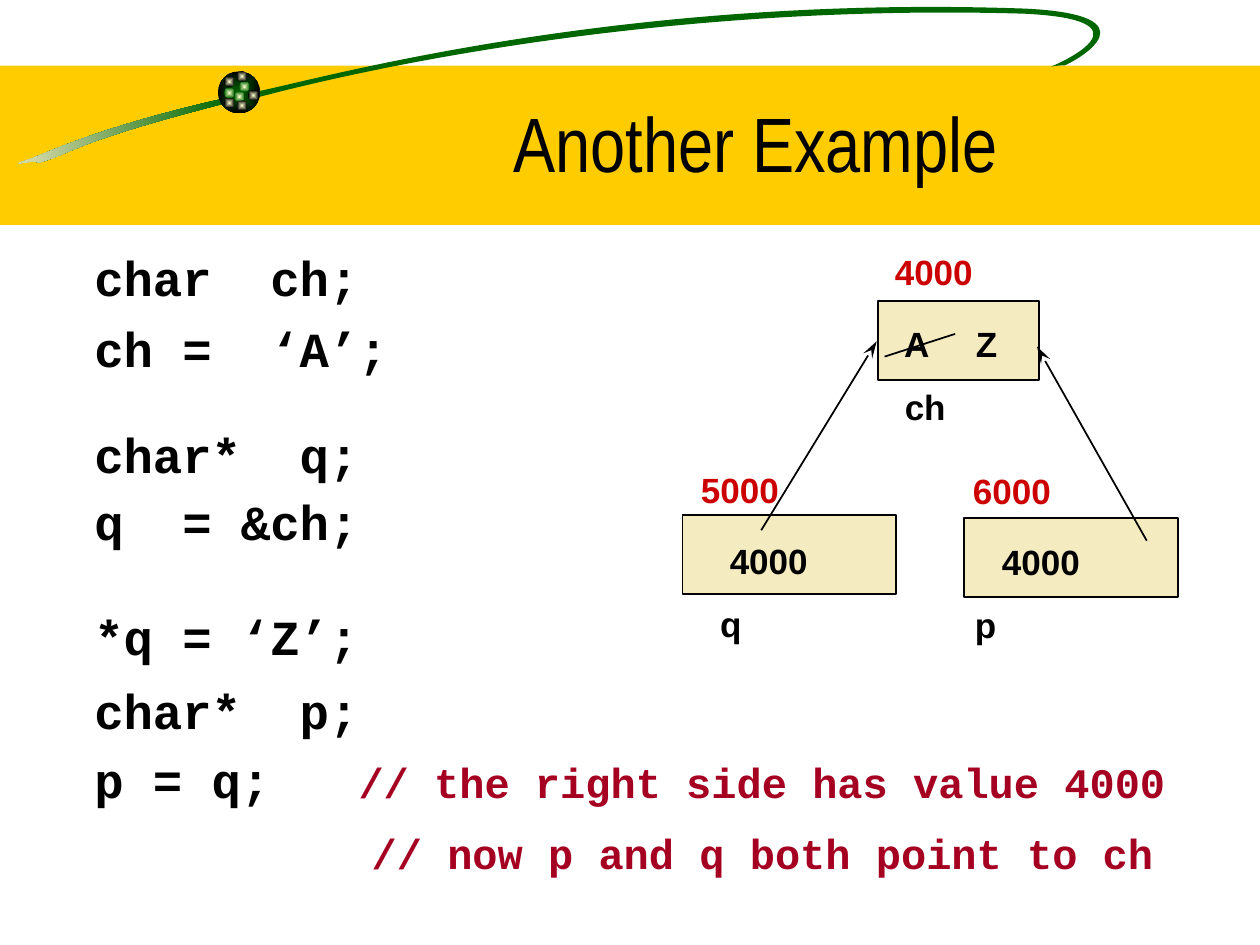
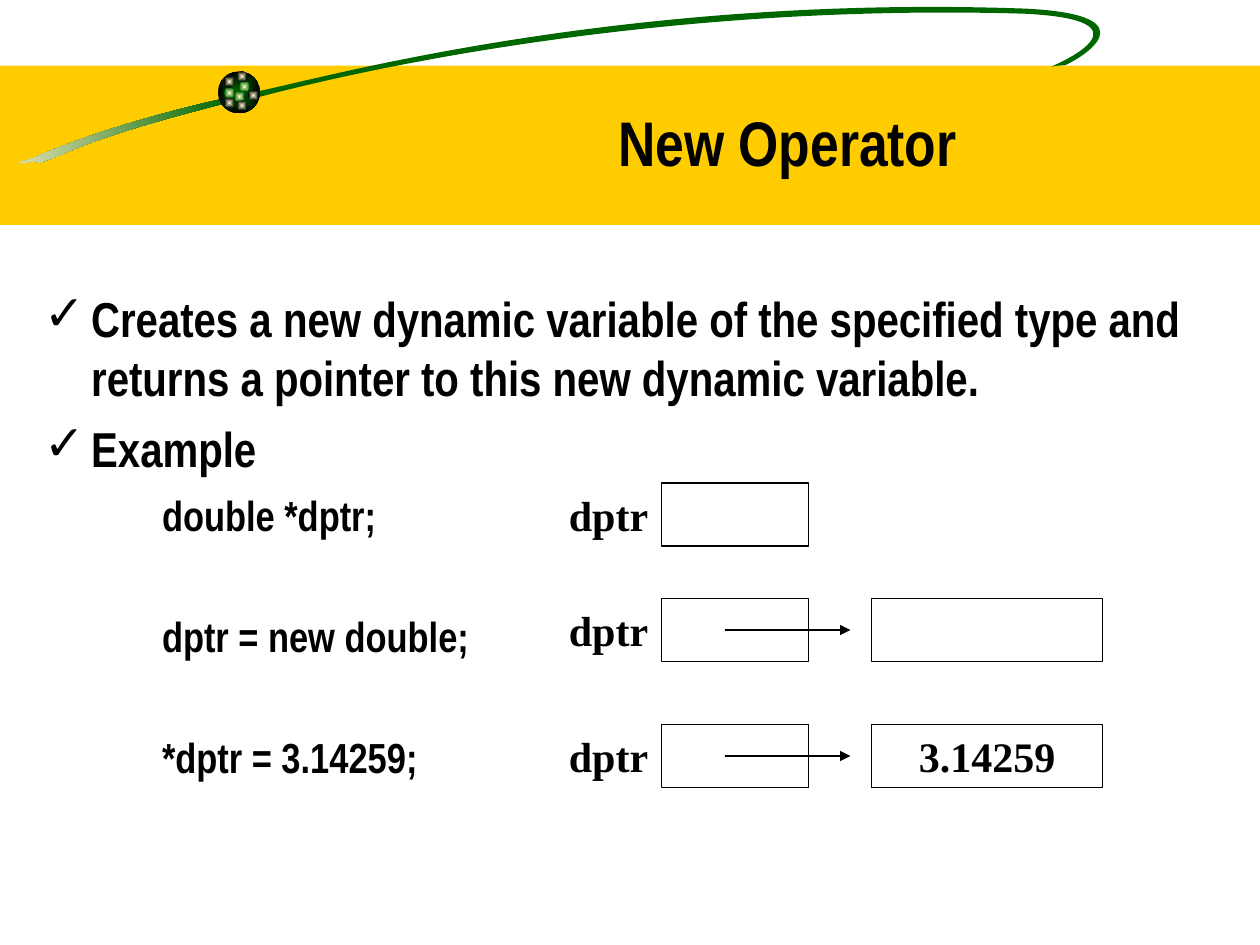
import math

import pptx
import pptx.util
import pptx.dml.color
import pptx.enum.shapes
import pptx.enum.text
import pptx.oxml
import pptx.oxml.ns

Pt = pptx.util.Pt
RGB = pptx.dml.color.RGBColor
SHAPE = pptx.enum.shapes.MSO_SHAPE
ANCHOR = pptx.enum.text.MSO_ANCHOR
ALIGN = pptx.enum.text.PP_ALIGN
qn = pptx.oxml.ns.qn

BLACK = RGB(0x00, 0x00, 0x00)
WHITE = RGB(0xFF, 0xFF, 0xFF)
GOLD = RGB(0xFF, 0xCC, 0x00)
GREEN = RGB(0x00, 0x66, 0x00)
CREAM = RGB(0xF5, 0xEB, 0xC1)
GLOW = RGB(0xFF, 0xFF, 0xCC)
ADDRESS_RED = RGB(0xCC, 0x00, 0x00)
COMMENT_RED = RGB(0xA5, 0x00, 0x21)

TITLE = {"name": "Arial Narrow", "size": Pt(44), "bold": False}
BOLD_TITLE = {"name": "Arial Narrow", "size": Pt(36), "bold": True}
CODE = {"name": "Courier New", "size": Pt(28), "bold": True}
COMMENT = {"name": "Courier New", "size": Pt(24), "bold": True}
BULLET = {"name": "Arial Narrow", "size": Pt(28), "bold": True}
SNIPPET = {"name": "Arial Narrow", "size": Pt(24), "bold": True}
CELL_LABEL = {"name": "Arial", "size": Pt(20), "bold": True}
POINTER_LABEL = {"name": "Times New Roman", "size": Pt(24), "bold": True}

STEALTH = {"type": "stealth", "w": "med", "len": "lg"}
TRIANGLE = {"type": "triangle"}

# Each outline is a start point, then three points for every Bezier segment.
TILT = -8.5
TAIL = [(128.2, 56.2),
        (65.5, 70.6), (35.3, 83.5), (18, 90.7),
        (0.7, 96.5), (18.7, 90.7), (22.3, 92.9),
        (41, 87.8), (41, 81.4), (128.9, 59),
        (128.9, 59), (128.2, 56.2), (128.2, 56.2)]
SWOOSH = [(145.4, 52.6),
          (177.1, 46.8), (349.9, -3.6), (586.1, 5),
          (660.2, 8.6), (617, 33.8), (608.4, 37.4),
          (608.4, 37.4), (603.4, 37.4), (600.5, 38.2),
          (607.7, 35.3), (659.5, 11.5), (585.4, 7.9),
          (394.6, 2.2), (230.4, 33.8), (148.3, 55.4),
          (148.3, 55.4), (145.4, 52.6), (145.4, 52.6)]
# Offset of each light within the ball, and the colour it fades to.
LIGHTS = [(12.2, 5.8, GREEN), (3.6, 2.9, BLACK), (3.6, 9.4, GREEN),
          (9.4, 11.5, GREEN), (17.3, 10.8, BLACK), (10.8, 16.6, BLACK),
          (3.6, 15.1, BLACK), (10.8, 0, BLACK)]


def add_text(paragraph, text, style, color=BLACK):
    """Append a run in the given style."""
    run = paragraph.add_run()
    run.text = text
    for key, value in style.items():
        setattr(run.font, key, value)
    run.font.color.rgb = color


def add_child(parent, tag, **attributes):
    """Append an XML element and return it."""
    child = parent.makeelement(qn(tag), attributes)
    parent.append(child)
    return child


def add_box(slide, left, top, width, height, anchor=ANCHOR.TOP, inset=True, wrap=True):
    """Add an empty text box and return its text frame."""
    frame = slide.shapes.add_textbox(Pt(left), Pt(top), Pt(width), Pt(height)).text_frame
    frame.word_wrap = wrap
    frame.vertical_anchor = anchor
    if not inset:
        for side in ("left", "top", "right", "bottom"):
            setattr(frame, "margin_" + side, Pt(0))
    return frame


def add_shape(slide, kind, left, top, width, height, fill=None, outlined=False):
    """Add a flat preset shape, with a thin black outline on request."""
    shape = slide.shapes.add_shape(kind, Pt(left), Pt(top), Pt(width), Pt(height))
    shape.shadow.inherit = False
    if fill is not None:
        shape.fill.solid()
        shape.fill.fore_color.rgb = fill
    if outlined:
        shape.line.color.rgb = BLACK
        shape.line.width = Pt(1)
    else:
        shape.line.fill.background()
    return shape


def fade(shape, first, last, from_centre=False):
    """Fill a shape with a two-colour gradient, leftward or from the centre."""
    shape.fill.gradient()
    shape.fill.gradient_angle = 180
    for stop, color in zip(shape.fill.gradient_stops, (first, last)):
        stop.color.rgb = color
    if from_centre:
        linear = next(shape.element.iter(qn("a:lin")))
        centre = linear.makeelement(qn("a:path"), {"path": "rect"})
        add_child(centre, "a:fillToRect", l="50000", t="50000", r="50000", b="50000")
        linear.getparent().replace(linear, centre)


def add_line(slide, start, end, head=None):
    """Draw a thin black line, with an arrowhead at its end on request."""
    line = slide.shapes.add_connector(
        pptx.enum.shapes.MSO_CONNECTOR.STRAIGHT, *[Pt(v) for v in start + end])
    line.line.color.rgb = BLACK
    line.line.width = Pt(1)
    if head:
        add_child(line.element.spPr.find(qn("a:ln")), "a:tailEnd", **head)
    add_child(line.element.spPr, "a:effectLst")


def turn(x, y, degrees):
    """Rotate a point clockwise about the slide's corner."""
    cos, sin = math.cos(math.radians(degrees)), math.sin(math.radians(degrees))
    return x * cos - y * sin, x * sin + y * cos


def add_curve(slide, outline):
    """Draw a Bezier outline as a freeform tilted about its centre."""
    level = [[Pt(v) for v in turn(x, y, -TILT)] for x, y in outline]
    builder = slide.shapes.build_freeform(*level[0])
    builder.add_line_segments(level[1:], close=True)
    curve = builder.convert_to_shape()
    sides = list(curve.element.iter(qn("a:lnTo")))
    for i in range(0, len(sides), 3):
        bezier = sides[i].makeelement(qn("a:cubicBezTo"), {})
        sides[i].addprevious(bezier)
        for side in sides[i:i + 3]:
            bezier.append(side[0])
            side.getparent().remove(side)
    centre = turn(curve.left + curve.width / 2, curve.top + curve.height / 2, TILT)
    curve.left = round(centre[0] - curve.width / 2)
    curve.top = round(centre[1] - curve.height / 2)
    curve.rotation = TILT
    curve.shadow.inherit = False
    curve.line.fill.background()
    return curve


def add_ball(slide, left, top, size):
    """Draw the dark ball with its small lights."""
    fade(add_shape(slide, SHAPE.OVAL, left, top, size, size), GREEN, BLACK, True)
    for dx, dy, edge in LIGHTS:
        fade(add_shape(slide, SHAPE.OVAL, left + dx, top + dy, 5.8, 5.8), GLOW, edge, True)


def add_header(slide, title, style, left):
    """Draw the band, the swoosh and the title, centred from left to the slide edge."""
    add_shape(slide, SHAPE.RECTANGLE, 0, 37.5, 720, 91, GOLD)
    fade(add_curve(slide, TAIL), GREEN, CREAM)
    swoosh = add_curve(slide, SWOOSH)
    swoosh.fill.solid()
    swoosh.fill.fore_color.rgb = GREEN
    add_ball(slide, 124.6, 40.8, 24)
    paragraph = add_box(slide, left, 36, 720 - left, 90, ANCHOR.MIDDLE).paragraphs[0]
    paragraph.alignment = ALIGN.CENTER
    add_text(paragraph, title, style)


def add_code(slide, left, top, width, height):
    """Write the code listing, with comments at tab stops."""
    lines = [("char  ch;", 6, None, None), ("ch =  ‘A’;", 7, None, None),
             ("char*  q;", 27, None, None), ("q  = &ch;", 4.5, None, None),
             ("*q = ‘Z’;", 32, None, None), ("char*  p;", 8.5, None, None),
             ("p = q;", 6, 151, "// the right side has value 4000"),
             ("", 11, 158.5, "// now p and q both point to ch")]
    frame = add_box(slide, left, top, width, height)
    for i, (code, gap, stop, comment) in enumerate(lines):
        paragraph = frame.add_paragraph() if i else frame.paragraphs[0]
        paragraph.space_before = Pt(gap)
        if code:
            add_text(paragraph, code, CODE)
        if comment:
            tabs = add_child(paragraph._p.get_or_add_pPr(), "a:tabLst")
            add_child(tabs, "a:tab", pos=str(Pt(stop)), algn="l")
            add_text(paragraph, "\t" + comment, COMMENT, COMMENT_RED)


def add_memory_cell(slide, left, top, width, address, values, name, lift=0):
    """Draw a memory cell; each label is a text and its offset from the left."""
    add_shape(slide, SHAPE.RECTANGLE, left, top, width, 45, CREAM, True)
    rows = [(-15, ADDRESS_RED, [address]), (26, BLACK, values), (62, BLACK, [name])]
    for middle, color, labels in rows:
        for text, dx in labels:
            frame = add_box(slide, left + dx, top + middle - lift - 12, 60, 24,
                            ANCHOR.MIDDLE, inset=False, wrap=False)
            add_text(frame.paragraphs[0], text, CELL_LABEL, color)


def add_memory_diagram(slide, left, top):
    """Draw the variable ch and the two pointers to it."""
    add_memory_cell(slide, left + 111.8, top, 92, ("4000", 9.5),
                    [("A", 14.8), ("Z", 55.8)], ("ch", 15.2), lift=2)
    add_memory_cell(slide, left, top + 122.5, 122, ("5000", 10.5), [("4000", 27)], ("q", 21.5))
    add_memory_cell(slide, left + 161, top + 124, 122, ("6000", 5), [("4000", 21.5)],
                    ("p", 6), lift=1)
    add_line(slide, (left + 45, top + 131), (left + 111, top + 23), STEALTH)
    add_line(slide, (left + 265.3, top + 137), (left + 202.6, top + 26), STEALTH)
    add_line(slide, (left + 115.5, top + 31.8), (left + 155.8, top + 18.8))


def add_explanation(slide, left, top, width, height):
    """Write the ticked points and the indented code lines."""
    points = ["Creates a new dynamic variable of the specified type and "
              "returns a pointer to this new dynamic variable.", "Example"]
    snippets = [("double *dptr;", 6.5), ("dptr = new double;", 40.5), ("*dptr = 3.14259;", 40.5)]
    lines = [(text, 7, BULLET, 27, -27) for text in points]
    lines += [(text, gap, SNIPPET, 67.5, 0) for text, gap in snippets]
    frame = add_box(slide, left, top, width, height, ANCHOR.MIDDLE)
    for i, (text, gap, style, margin, indent) in enumerate(lines):
        paragraph = frame.add_paragraph() if i else frame.paragraphs[0]
        paragraph.space_before = Pt(gap)
        properties = paragraph._p.get_or_add_pPr()
        properties.set("marL", str(Pt(margin)))
        properties.set("indent", str(Pt(indent)))
        if indent:
            add_child(properties, "a:buFont", typeface="Arial Narrow")
            add_child(properties, "a:buChar", char="✓")
        add_text(paragraph, text, style)


def add_pointer_row(slide, left, top, has_target=True, value=None):
    """Draw dptr with its cell and, on request, the variable it points to."""
    label = add_box(slide, left, top, 60, 36, wrap=False)
    add_text(label.paragraphs[0], "dptr", POINTER_LABEL)
    add_shape(slide, SHAPE.RECTANGLE, left + 60, top, 84, 36, WHITE, True)
    if not has_target:
        return
    target = add_shape(slide, SHAPE.RECTANGLE, left + 180, top, 132, 36, WHITE, True)
    if value:
        target.text_frame.vertical_anchor = ANCHOR.MIDDLE
        target.text_frame.paragraphs[0].alignment = ALIGN.CENTER
        add_text(target.text_frame.paragraphs[0], value, POINTER_LABEL)
    add_line(slide, (left + 96, top + 18), (left + 168, top + 18), TRIANGLE)


def build_example_slide(slide):
    """Code beside a diagram of the memory it changes."""
    add_header(slide, "Another Example", TITLE, 144)
    add_code(slide, 46.8, 138, 651, 375)
    add_memory_diagram(slide, 390, 172)


def build_new_operator_slide(slide):
    """Explanation of new, with a pointer drawn beside each code line."""
    add_header(slide, "New Operator", BOLD_TITLE, 180)
    add_explanation(slide, 18, 144, 683, 324)
    add_pointer_row(slide, 318, 276, has_target=False)
    add_pointer_row(slide, 318, 342)
    add_pointer_row(slide, 318, 414, value="3.14259")


presentation = pptx.Presentation()
presentation.slide_width, presentation.slide_height = Pt(720), Pt(540)
for build in (build_example_slide, build_new_operator_slide):
    build(presentation.slides.add_slide(presentation.slide_layouts[6]))
presentation.save("out.pptx")
